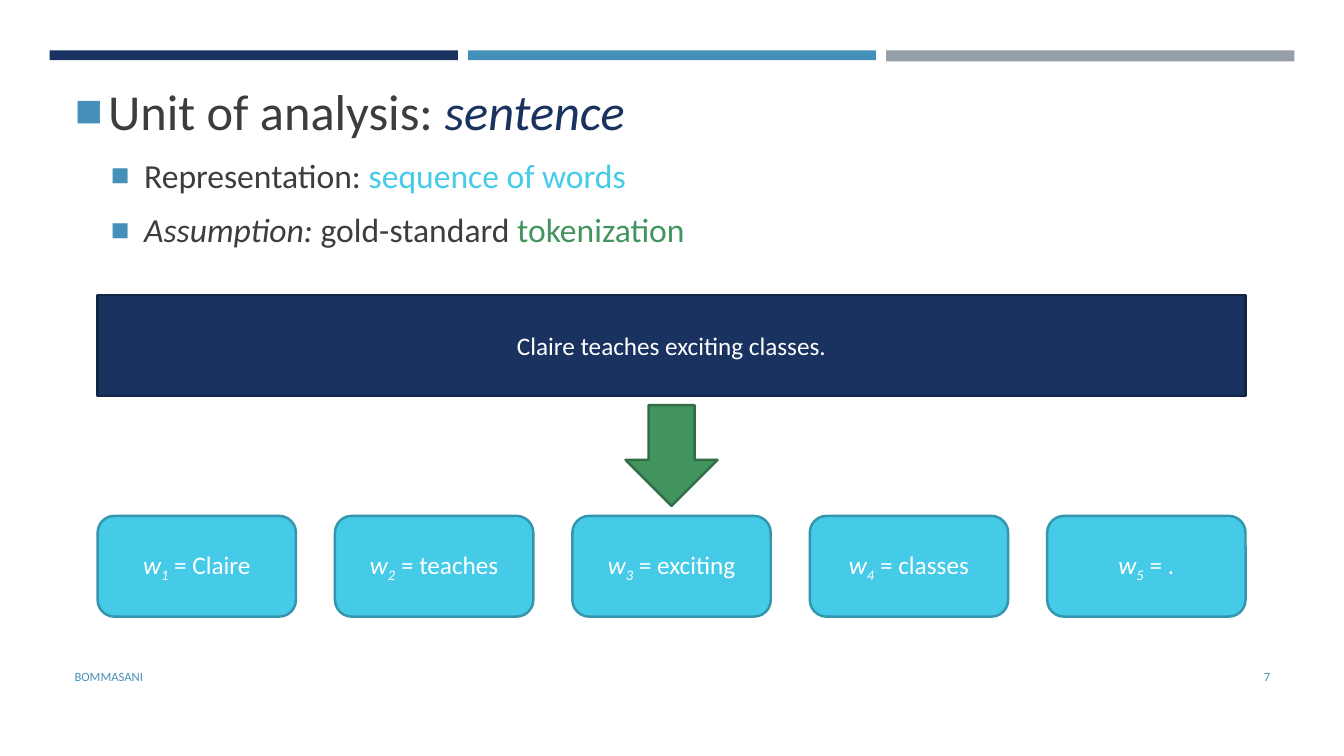
from dataclasses import dataclass

from lxml import etree
from pptx import Presentation
from pptx.dml.color import RGBColor
from pptx.enum.shapes import MSO_SHAPE
from pptx.enum.text import MSO_ANCHOR, MSO_AUTO_SIZE, PP_ALIGN
from pptx.oxml.ns import qn
from pptx.util import Cm, Pt

RECT = MSO_SHAPE.RECTANGLE
ROUNDED = MSO_SHAPE.ROUNDED_RECTANGLE
DOWN_ARROW = MSO_SHAPE.DOWN_ARROW
MIDDLE, TOP = MSO_ANCHOR.MIDDLE, MSO_ANCHOR.TOP
LEFT, CENTER, RIGHT = PP_ALIGN.LEFT, PP_ALIGN.CENTER, PP_ALIGN.RIGHT
NO_AUTOFIT = MSO_AUTO_SIZE.NONE


@dataclass(frozen=True)
class Theme:
    font: str = "Calibri"
    navy: str = "1A3260"
    navy_edge: str = "132547"
    blue: str = "4590B8"
    gray: str = "969FA7"
    cyan: str = "45CBE8"
    cyan_edge: str = "3396AC"
    green: str = "42955F"
    green_edge: str = "316E46"
    ink: str = "3D3D3D"
    white: str = "FFFFFF"
    heading: int = 36
    point: int = 24
    label: int = 18
    footer: int = 9


T = Theme()

OUTLINE = [
    (0, [("Unit of analysis: ", T.ink, False), ("sentence", T.navy, True)]),
    (1, [("Representation: ", T.ink, False), ("sequence of words", T.cyan, False)]),
    (1, [("Assumption:", T.ink, True), (" gold-standard ", T.ink, False),
         ("tokenization", T.green, False)]),
]
LEVELS = [(T.heading, 0.84), (T.point, 1.75)]
SENTENCE = "Claire teaches exciting classes."
TOKENS = ["Claire", "teaches", "exciting", "classes", "."]
BARS = [(T.navy, 0.25), (T.blue, 0.25), (T.gray, 0.28)]
FOOTERS = [("BOMMASANI", 1.63, 19.2, LEFT), ("7", 29.34, 2.92, RIGHT)]

SLIDE_W, SLIDE_H = 33.87, 19.05
BAR_LEFT, BAR_TOP, BAR_W, BAR_PITCH = 1.25, 1.27, 10.29, 10.64 - 0.1
FLOW_LEFT, FLOW_W, BOX_H = 2.46, 28.93, 2.54
SENTENCE_TOP, ARROW_TOP, TOKEN_TOP = 7.44, 10.21, 13.0
ARROW_W, TOKEN_W = 2.32, 5.0
HANG = 0.84


def add_run(p, text, size, color, italic=False):
    r = p.add_run()
    r.text = text
    r.font.name = T.font
    r.font.size = Pt(size)
    r.font.color.rgb = RGBColor.from_string(color)
    r.font.italic = italic
    return r


def add_bullet(p, indent):
    pPr = p._p.get_or_add_pPr()
    pPr.set("marL", str(Cm(indent)))
    pPr.set("indent", str(-Cm(HANG)))
    clr = etree.SubElement(pPr, qn("a:buClr"))
    etree.SubElement(clr, qn("a:srgbClr"), val=T.blue)
    etree.SubElement(pPr, qn("a:buSzPct"), val="92000")
    etree.SubElement(pPr, qn("a:buFont"), typeface="Arial")
    etree.SubElement(pPr, qn("a:buChar"), char="■")


def add_box(s, kind, left, top, width, height, fill, edge=None):
    sp = s.shapes.add_shape(kind, Cm(left), Cm(top), Cm(width), Cm(height))
    sp.shadow.inherit = False
    sp.fill.solid()
    sp.fill.fore_color.rgb = RGBColor.from_string(fill)
    if edge:
        sp.line.color.rgb = RGBColor.from_string(edge)
        sp.line.width = Pt(1.75)
    else:
        sp.line.fill.background()
    return sp


def first_paragraph(sp, align):
    tf = sp.text_frame
    tf.word_wrap = True
    tf.vertical_anchor = MIDDLE
    p = tf.paragraphs[0]
    p.alignment = align
    return p


def add_outline(s):
    body = s.placeholders[1]
    body.left, body.top, body.width, body.height = Cm(1.63), Cm(1.9), Cm(30.63), Cm(14.4)
    tf = body.text_frame
    tf.auto_size = NO_AUTOFIT
    tf.vertical_anchor = TOP
    for i, (level, runs) in enumerate(OUTLINE):
        p = tf.add_paragraph() if i else tf.paragraphs[0]
        size, indent = LEVELS[level]
        p.level = level
        add_bullet(p, indent)
        p.space_before = Pt(4 if i else 0)
        p.space_after = Pt(6)
        for text, color, italic in runs:
            add_run(p, text, size, color, italic)


def add_flow(s):
    sp = add_box(s, RECT, FLOW_LEFT, SENTENCE_TOP, FLOW_W, BOX_H, T.navy, T.navy_edge)
    add_run(first_paragraph(sp, CENTER), SENTENCE, T.label, T.white)
    arrow_left = FLOW_LEFT + (FLOW_W - ARROW_W) / 2
    add_box(s, DOWN_ARROW, arrow_left, ARROW_TOP, ARROW_W, BOX_H, T.green, T.green_edge)
    pitch = (FLOW_W - TOKEN_W) / (len(TOKENS) - 1)
    for i, token in enumerate(TOKENS):
        sp = add_box(s, ROUNDED, FLOW_LEFT + i * pitch, TOKEN_TOP, TOKEN_W, BOX_H,
                     T.cyan, T.cyan_edge)
        p = first_paragraph(sp, CENTER)
        add_run(p, "w", T.label, T.white, True)
        index = add_run(p, str(i + 1), T.label, T.white, True)
        index.font._element.set("baseline", "-25000")
        add_run(p, f" = {token}", T.label, T.white)


def main():
    prs = Presentation()
    prs.slide_width, prs.slide_height = Cm(SLIDE_W), Cm(SLIDE_H)
    s = prs.slides.add_slide(prs.slide_layouts[1])
    title = s.shapes.title._element
    title.getparent().remove(title)
    for i, (color, height) in enumerate(BARS):
        add_box(s, RECT, BAR_LEFT + i * BAR_PITCH, BAR_TOP, BAR_W, height, color)
    add_outline(s)
    add_flow(s)
    for text, left, width, align in FOOTERS:
        sp = s.shapes.add_textbox(Cm(left), Cm(16.54), Cm(width), Cm(1.02))
        add_run(first_paragraph(sp, align), text, T.footer, T.blue)
    prs.save("out.pptx")


if __name__ == "__main__":
    main()
